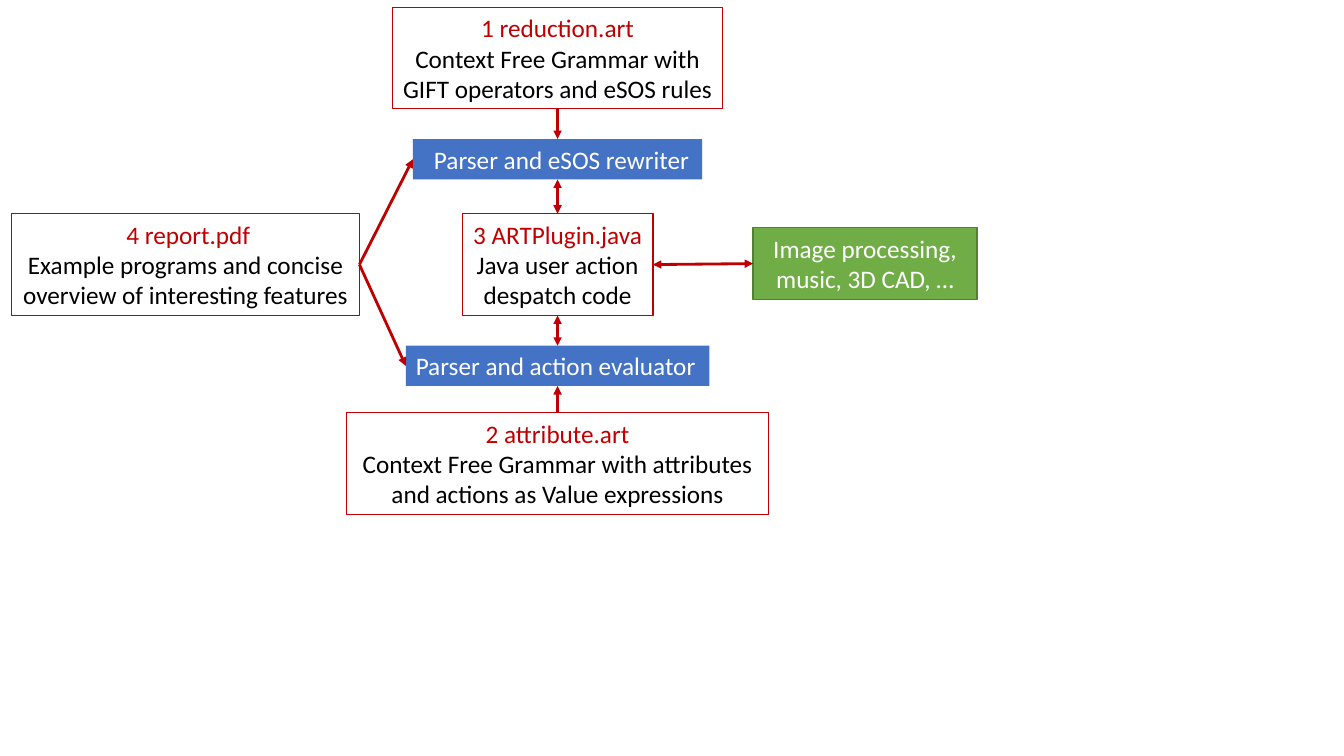
from pptx import Presentation
from pptx.dml.color import RGBColor
from pptx.enum.shapes import MSO_CONNECTOR, MSO_SHAPE
from pptx.enum.text import MSO_ANCHOR, PP_ALIGN
from pptx.oxml.ns import qn
from pptx.util import Inches, Pt
from lxml import etree

COLORS = {"red": "C00000", "blue": "4472C4", "green": "70AD47",
          "dark_green": "538035", "white": "FFFFFF", "black": "000000"}
MID = 5.53  # centre line of the middle column
TOP, LEFT, BOTTOM, RIGHT = range(4)  # connection sites of a rectangle


def rgb(name):
    return RGBColor.from_string(COLORS[name])


prs = Presentation()
prs.slide_width, prs.slide_height = Inches(13.33), Inches(7.5)
s = prs.slides.add_slide(prs.slide_layouts[6])

# Boxes: centre x, top, width, height, fill, line, line width, paragraphs
boxes = {
    "reduction": (MID, 0.07, 3.28, 1.01, None, "red", 0.75,
                  ["1 reduction.art", "Context Free Grammar with GIFT operators and eSOS rules"]),
    "plugin": (MID, 2.12, 1.89, 1.01, "white", "red", 1,
               ["3 ARTPlugin.java", "Java user action", "despatch code"]),
    "evaluator": (MID, 3.43, 3.01, 0.4, "blue", None, 0,
                  ["Parser and action evaluator"]),
    "rewriter": (MID, 1.38, 2.87, 0.4, "blue", None, 0,
                 ["Parser and eSOS rewriter"]),
    "media": (8.58, 2.26, 2.22, 0.71, "green", "dark_green", 1,
              ["Image processing, music, 3D CAD, …"]),
    "report": (1.84, 2.12, 3.45, 1.01, "white", "red", 1,
               [" 4 report.pdf", "Example programs and concise overview of interesting features"]),
    "attribute": (MID, 4.09, 4.19, 1.01, None, "red", 0.75,
                  ["2 attribute.art", "Context Free Grammar with attributes and actions as Value expressions"]),
}
shapes = {}
for name, (center, top, width, height, fill, line, line_width, lines) in boxes.items():
    sp = s.shapes.add_shape(MSO_SHAPE.RECTANGLE, Inches(center - width / 2),
                            Inches(top), Inches(width), Inches(height))
    sp.shadow.inherit = False
    if fill:
        sp.fill.solid()
        sp.fill.fore_color.rgb = rgb(fill)
    else:
        sp.fill.background()
    if line:
        sp.line.color.rgb = rgb(line)
        sp.line.width = Pt(line_width)
    else:
        sp.line.fill.background()

    tf = sp.text_frame
    tf.word_wrap = name != "plugin"
    tf.vertical_anchor = MSO_ANCHOR.MIDDLE
    tf.text = "\n".join(lines)
    for i, p in enumerate(tf.paragraphs):
        p.alignment = PP_ALIGN.LEFT if fill == "blue" else PP_ALIGN.CENTER
        font = p.runs[0].font
        font.name, font.size = "Calibri", Pt(18)
        if line == "red":
            font.color.rgb = rgb("black" if i else "red")
        else:
            font.color.rgb = rgb("white")
    shapes[name] = sp
shapes["rewriter"].text_frame.margin_left = Inches(0.21)

# Arrows glued to the boxes: source, site, target, site, arrowhead tags
one_way = ["a:tailEnd"]
two_way = ["a:headEnd", "a:tailEnd"]
links = [
    ("reduction", BOTTOM, "rewriter", TOP, one_way),
    ("attribute", TOP, "evaluator", BOTTOM, one_way),
    ("rewriter", BOTTOM, "plugin", TOP, two_way),
    ("evaluator", TOP, "plugin", BOTTOM, two_way),
    ("plugin", RIGHT, "media", LEFT, two_way),
    ("report", RIGHT, "rewriter", LEFT, one_way),
    ("report", RIGHT, "evaluator", LEFT, one_way),
]
for source, source_site, target, target_site, heads in links:
    c = s.shapes.add_connector(MSO_CONNECTOR.STRAIGHT, 0, 0, 0, 0)
    c.begin_connect(shapes[source], source_site)
    c.end_connect(shapes[target], target_site)
    c.line.color.rgb = rgb("red")
    c.line.width = Pt(2)
    ln = c._element.spPr.find(qn("a:ln"))
    for tag in heads:
        etree.SubElement(ln, qn(tag), type="triangle")
    etree.SubElement(c._element.spPr, qn("a:effectLst"))

prs.save("out.pptx")
